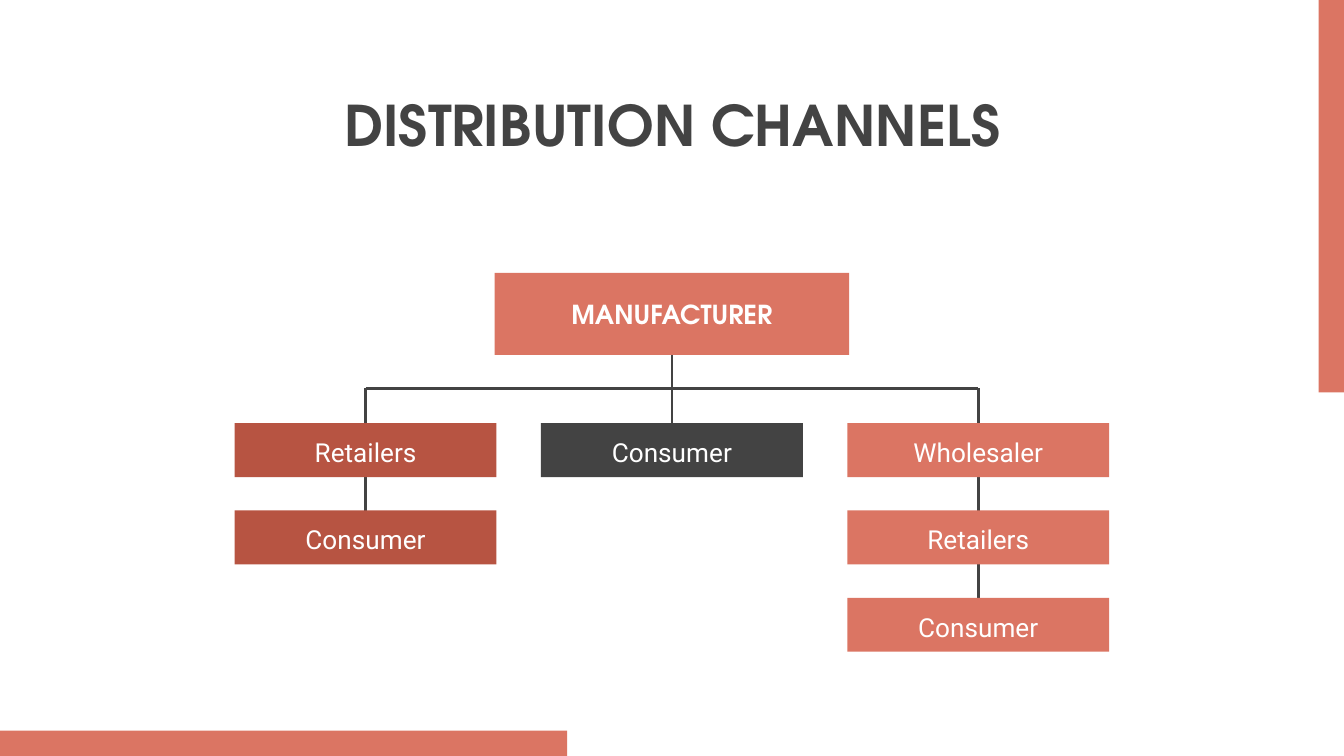
"""Build the distribution channels slide."""
import pptx
import pptx.util
import pptx.dml.color
import pptx.enum.shapes
import pptx.enum.text
import pptx.oxml.ns
import lxml.etree

Cm, Pt = pptx.util.Cm, pptx.util.Pt
CORAL, BRICK, DARK, WHITE = "DB7563", "B75442", "434343", "FFFFFF"
HEADING, BODY = "TeX Gyre Adventor", "Roboto"
WIDTH, HEIGHT, MIDDLE = 25.4, 14.29, 12.7
COL_STEP, ROW_TOP, ROW_STEP = 5.79, 8, 1.65
BOX_W, BOX_H, BUS_Y = 4.95, 1.02, 7.34


def color(value):
    return pptx.dml.color.RGBColor.from_string(value)


def block(x, y, w, h, fill=None, text="", font=BODY, size=14, ink=WHITE):
    if fill:
        sp = s.shapes.add_shape(pptx.enum.shapes.MSO_SHAPE.RECTANGLE, Cm(x), Cm(y), Cm(w), Cm(h))
        sp.shadow.inherit = False
        sp.fill.solid()
        sp.fill.fore_color.rgb = color(fill)
        sp.line.fill.background()
    else:
        sp = s.shapes.add_textbox(Cm(x), Cm(y), Cm(w), Cm(h))
    if text:
        tf = sp.text_frame
        tf.word_wrap = True
        tf.margin_left = tf.margin_right = tf.margin_top = tf.margin_bottom = Cm(0.25)
        anchor = pptx.enum.text.MSO_ANCHOR
        tf.vertical_anchor = anchor.MIDDLE if font == HEADING else anchor.TOP
        p = tf.paragraphs[0]
        p.text = text
        p.alignment = pptx.enum.text.PP_ALIGN.CENTER
        p.font.name = font
        p.font.size = Pt(size)
        p.font.bold = font == HEADING
        p.font.color.rgb = color(ink)
    return sp


prs = pptx.Presentation()
prs.slide_width, prs.slide_height = Cm(WIDTH), Cm(HEIGHT)
s = prs.slides.add_slide(prs.slide_layouts[6])

block(WIDTH - 0.48, 0, 0.48, 7.42, CORAL)
block(0, HEIGHT - 0.48, 10.72, 0.48, CORAL)

left, right = MIDDLE - COL_STEP, MIDDLE + COL_STEP
lines = []
for x1, x2, y2 in [
    (left, left, ROW_TOP + ROW_STEP),
    (MIDDLE, MIDDLE, ROW_TOP),
    (right, right, ROW_TOP + 2 * ROW_STEP),
    (left, right, BUS_Y),
]:
    line = s.shapes.add_connector(
        pptx.enum.shapes.MSO_CONNECTOR.STRAIGHT, Cm(x1), Cm(BUS_Y), Cm(x2), Cm(y2)
    )
    line.line.color.rgb = color(DARK)
    line.line.width = Pt(1.5)
    lxml.etree.SubElement(line._element.spPr, pptx.oxml.ns.qn("a:effectLst"))
    lines.append(line)

maker = block(MIDDLE - 3.35, 5.16, 6.7, 1.55, CORAL, "MANUFACTURER", HEADING)
lines[1].begin_connect(maker, 2)

channels = [
    (BRICK, ["Retailers", "Consumer"]),
    (DARK, ["Consumer"]),
    (CORAL, ["Wholesaler", "Retailers", "Consumer"]),
]
for col, (fill, names) in enumerate(channels):
    x = left + col * COL_STEP - BOX_W / 2
    for row, name in enumerate(names):
        sp = block(x, ROW_TOP + row * ROW_STEP, BOX_W, BOX_H, fill, name)
    lines[col].end_connect(sp, 0)

block(2.49, 1.5, 20.45, 1.7, None, "DISTRIBUTION CHANNELS", HEADING, 30, DARK)

prs.save("out.pptx")
